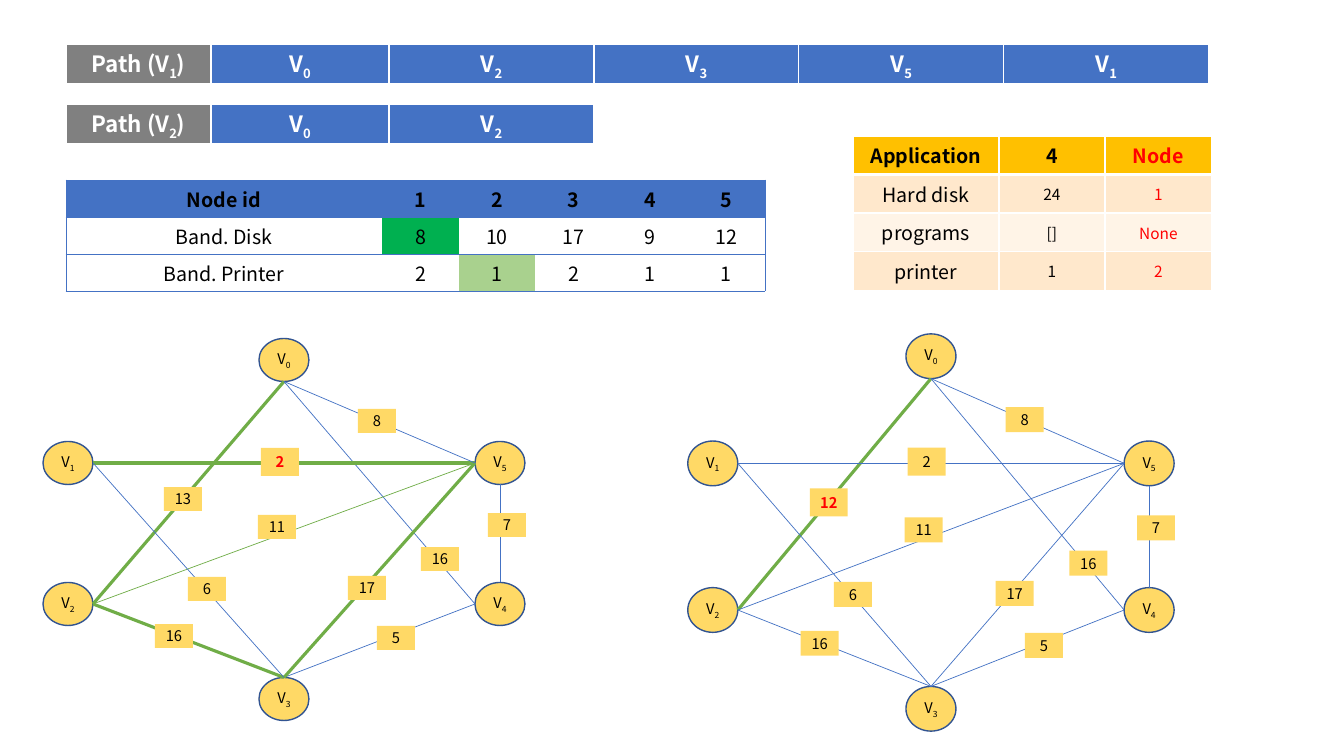
import pptx
import pptx.util
import pptx.dml.color
import pptx.enum.shapes
import pptx.enum.text
import lxml.etree

# Content
PATHS = [
    (44, ["Path (V_1)", "V_0", "V_2", "V_3", "V_5", "V_1"]),
    (104, ["Path (V_2)", "V_0", "V_2"]),
]
PATH_COLS = [145, 178, 205, 205, 205, 205]
BANDWIDTH = [
    ["Node id", "1", "2", "3", "4", "5"],
    ["Band. Disk", "8", "10", "17", "9", "12"],
    ["Band. Printer", "2", "1", "2", "1", "1"],
]
BANDWIDTH_COLS = [316, 77, 76, 77, 76, 77]
BEST = {(1, 1): "00B050", (2, 2): "A9D18E"}
APPLICATION = [
    ["Application", "4", "Node"],
    ["Hard disk", "24", "1"],
    ["programs", "[]", "None"],
    ["printer", "1", "2"],
]
APPLICATION_COLS = [146, 106, 107]

# Graph layout: node centres, the side each edge leaves from, edges with label corner
NODES = {"0": (284, 360), "1": (68, 463), "2": (68, 604),
         "3": (284, 699), "5": (500, 463), "4": (500, 604)}
PORTS = {"0": (0, 1), "1": (1, 0), "2": (1, 0), "3": (0, -1), "4": (-1, 0), "5": (-1, 0)}
SIDE_PORTS = {"4": (0, -1), "5": (0, 1)}  # for the vertical edge 4-5
EDGES = {"02": ("13", 164, 487), "04": ("16", 421, 547), "52": ("11", 258, 515),
         "32": ("16", 155, 624), "34": ("5", 377, 626), "35": ("17", 348, 576),
         "45": ("7", 488, 513), "15": ("2", 261, 448), "13": ("6", 188, 577),
         "05": ("8", 358, 409)}
CENTRE = (284, 529)
GRAPHS = [
    dict(centre=(284, 529), scale=(1, 1), thick=["02", "32", "35", "15"], green=["52"],
         red="15", tall=["15"], weights={}),
    dict(centre=(931, 532), scale=(1.01, 1.04), thick=["02"], green=[],
         red="02", tall=["02", "15"], weights={"02": "12"}),
]

FONT = "Noto Sans CJK JP"
BLUE, GREEN, YELLOW, RED = "4472C4", "70AD47", "FFD966", "FF0000"
BLACK, WHITE = "000000", "FFFFFF"
NO_STYLE = "{2D5ABB26-0587-4C30-8999-92F81FD0307C}"
NODE_W, NODE_H, LABEL_W = 50, 43, 38


def px(n):
    return pptx.util.Emu(round(n * 914400 / 100.8))


def rgb(c):
    return pptx.dml.color.RGBColor.from_string(c)


def write(tf, text, size=14, color=BLACK, bold=False):
    """Write one centred line; the character after each _ is a subscript."""
    p = tf.paragraphs[0]
    p.alignment = pptx.enum.text.PP_ALIGN.CENTER
    head, *rest = text.split("_")
    pieces = [(head, False)]
    for part in rest:
        pieces += [(part[0], True), (part[1:], False)]
    for piece, sub in pieces:
        if not piece:
            continue
        r = p.add_run()
        r.text = piece
        r.font.name, r.font.size, r.font.bold = FONT, pptx.util.Pt(size), bold
        r.font.color.rgb = rgb(color)
        if sub:
            r.font._element.set("baseline", "-25000")


def set_borders(cell, borders):
    tcPr = cell._tc.get_or_add_tcPr()
    at = 0
    for side in "LRTB":  # schema order, ahead of the fill
        if side in borders:
            color, width = borders[side]
            ln = pptx.oxml.parse_xml(
                f'<a:ln{side} xmlns:a="http://schemas.openxmlformats.org/drawingml/2006/main" '
                f'w="{int(width * 12700)}"><a:solidFill><a:srgbClr val="{color}"/>'
                f'</a:solidFill></a:ln{side}>')
            tcPr.insert(at, ln)
            at += 1


def add_table(s, x, y, cols, row_h, rows, style):
    """style(row, col) gives fill, borders, (side, vertical) margins and text format."""
    t = s.shapes.add_table(len(rows), len(cols), px(x), px(y),
                           px(sum(cols)), px(row_h * len(rows))).table
    t._tbl.tblPr[0].text = NO_STYLE
    for col, w in zip(t.columns, cols):
        col.width = px(w)
    for i, row in enumerate(rows):
        t.rows[i].height = px(row_h)
        for j, text in enumerate(row):
            cell = t.cell(i, j)
            fill, borders, (mx, my), fmt = style(i, j)
            cell.fill.solid()
            cell.fill.fore_color.rgb = rgb(fill)
            cell.margin_left = cell.margin_right = px(mx)
            cell.margin_top = cell.margin_bottom = px(my)
            cell.vertical_anchor = pptx.enum.text.MSO_ANCHOR.MIDDLE
            write(cell.text_frame, text, **fmt)
            set_borders(cell, borders)


def white_grid(bottom):
    return dict(L=(WHITE, 1), R=(WHITE, 1), T=(WHITE, 1), B=(WHITE, bottom))


def path_style(i, j):
    return BLUE if j else "808080", white_grid(3), (1, 1), dict(size=16, color=WHITE, bold=True)


def bandwidth_style(i, j):
    line = (BLUE, 0.5)
    borders = dict(T=line, B=line)
    if j == 0:
        borders["L"] = line
    if j == len(BANDWIDTH_COLS) - 1:
        borders["R"] = line
    fill = BEST.get((i, j), WHITE) if i else BLUE
    return fill, borders, (10, 3), dict(bold=i == 0)


def application_style(i, j):
    color = RED if j == 2 else BLACK
    if i == 0:
        return "FFC000", white_grid(3), (10, 5), dict(color=color, bold=True)
    borders = white_grid(1)
    if i == 1:
        borders["T"] = (WHITE, 3)
    fill = "FFE8CC" if i % 2 else "FFF4E7"
    return fill, borders, (1, 1) if j else (10, 5), dict(size=11 if j else 14, color=color)


def add_box(g, kind, x, y, w, h, text, line=None, **fmt):
    sp = g.shapes.add_shape(kind, px(x), px(y), px(w), px(h))
    sp.shadow.inherit = False
    sp.fill.solid()
    sp.fill.fore_color.rgb = rgb(YELLOW)
    if line:
        sp.line.color.rgb = rgb(line)
        sp.line.width = pptx.util.Pt(1)
    else:
        sp.line.fill.background()
    tf = sp.text_frame
    tf.margin_left = tf.margin_right = tf.margin_top = tf.margin_bottom = 0
    tf.vertical_anchor = pptx.enum.text.MSO_ANCHOR.MIDDLE
    write(tf, text, size=10.5, **fmt)


def add_edge(g, start, end, color, width):
    c = g.shapes.add_connector(pptx.enum.shapes.MSO_CONNECTOR.STRAIGHT,
                               *[px(v) for v in (*start, *end)])
    c.line.color.rgb = rgb(color)
    c.line.width = pptx.util.Pt(width)
    lxml.etree.SubElement(c._element.spPr, pptx.oxml.ns.qn("a:effectLst"))


def add_graph(s, centre, scale, thick, green, red, tall, weights):
    g = s.shapes.add_group_shape()
    shape = pptx.enum.shapes.MSO_SHAPE
    node_h = NODE_H * scale[1]

    def place(x, y):
        return [c + (v - o) * k for c, v, o, k in zip(centre, (x, y), CENTRE, scale)]

    def port(node, ports):
        x, y = place(*NODES[node])
        dx, dy = ports[node]
        return x + dx * NODE_W / 2, y + dy * node_h / 2

    for node, at in NODES.items():
        x, y = place(*at)
        add_box(g, shape.OVAL, x - NODE_W / 2, y - node_h / 2, NODE_W, node_h,
                "V_" + node, line="325491")
    for edge in EDGES:
        ports = SIDE_PORTS if edge == "45" else PORTS
        add_edge(g, port(edge[0], ports), port(edge[1], ports),
                 GREEN if edge in thick + green else BLUE, 2.25 if edge in thick else 0.5)
    for edge, (weight, lx, ly) in EDGES.items():
        add_box(g, shape.RECTANGLE, *place(lx, ly), LABEL_W, 28 if edge in tall else 24 * scale[1],
                weights.get(edge, weight), color=RED if edge == red else BLACK, bold=edge == red)


def main():
    prs = pptx.Presentation()
    prs.slide_width, prs.slide_height = px(1344), px(756)
    s = prs.slides.add_slide(prs.slide_layouts[6])
    # Tables
    add_table(s, 853, 136, APPLICATION_COLS, 36, APPLICATION, application_style)
    for y, row in PATHS:
        add_table(s, 66, y, PATH_COLS[:len(row)], 41, [row], path_style)
    # Graphs
    for graph in GRAPHS:
        add_graph(s, **graph)
    add_table(s, 66, 180, BANDWIDTH_COLS, 37, BANDWIDTH, bandwidth_style)
    prs.save("out.pptx")


if __name__ == "__main__":
    main()
